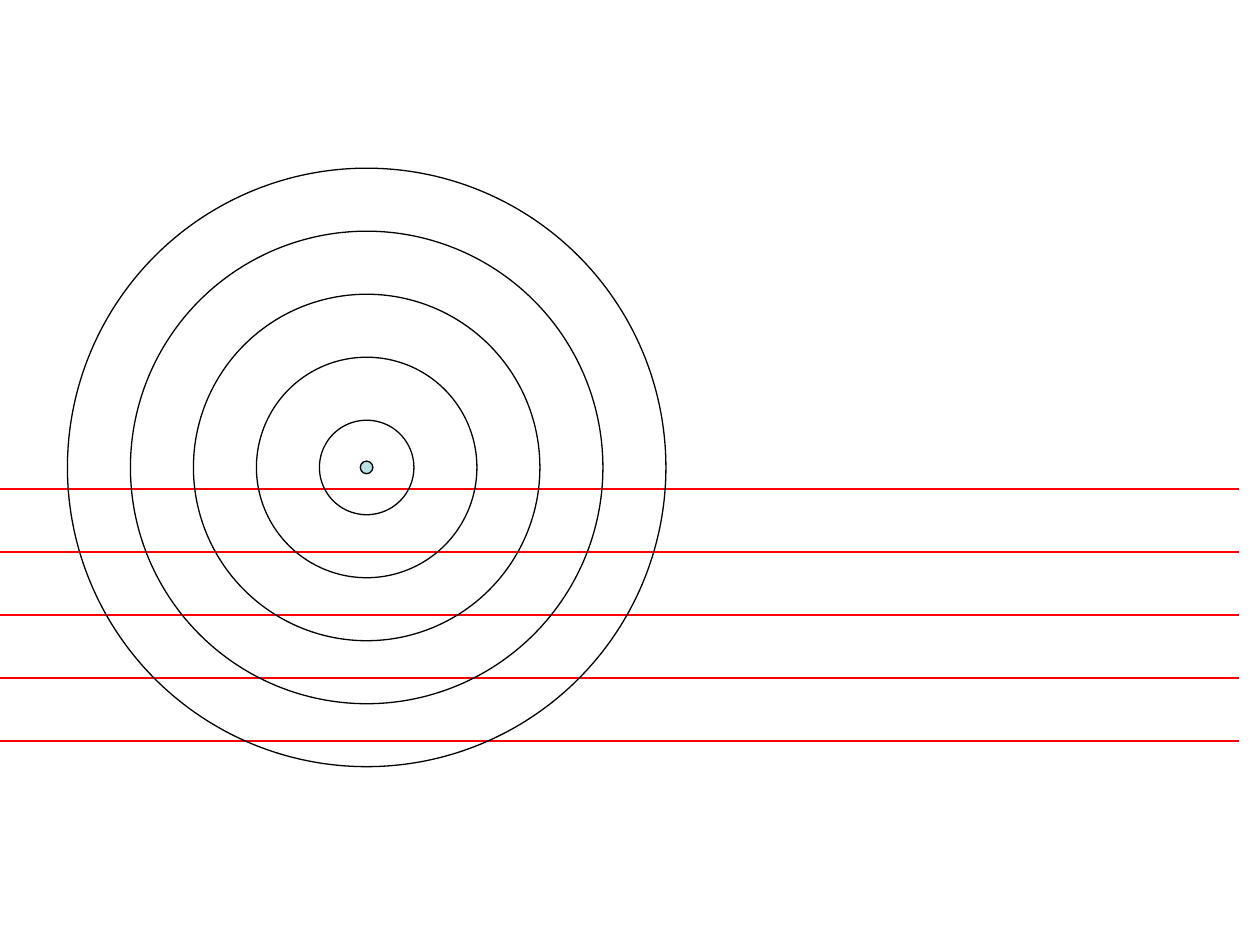
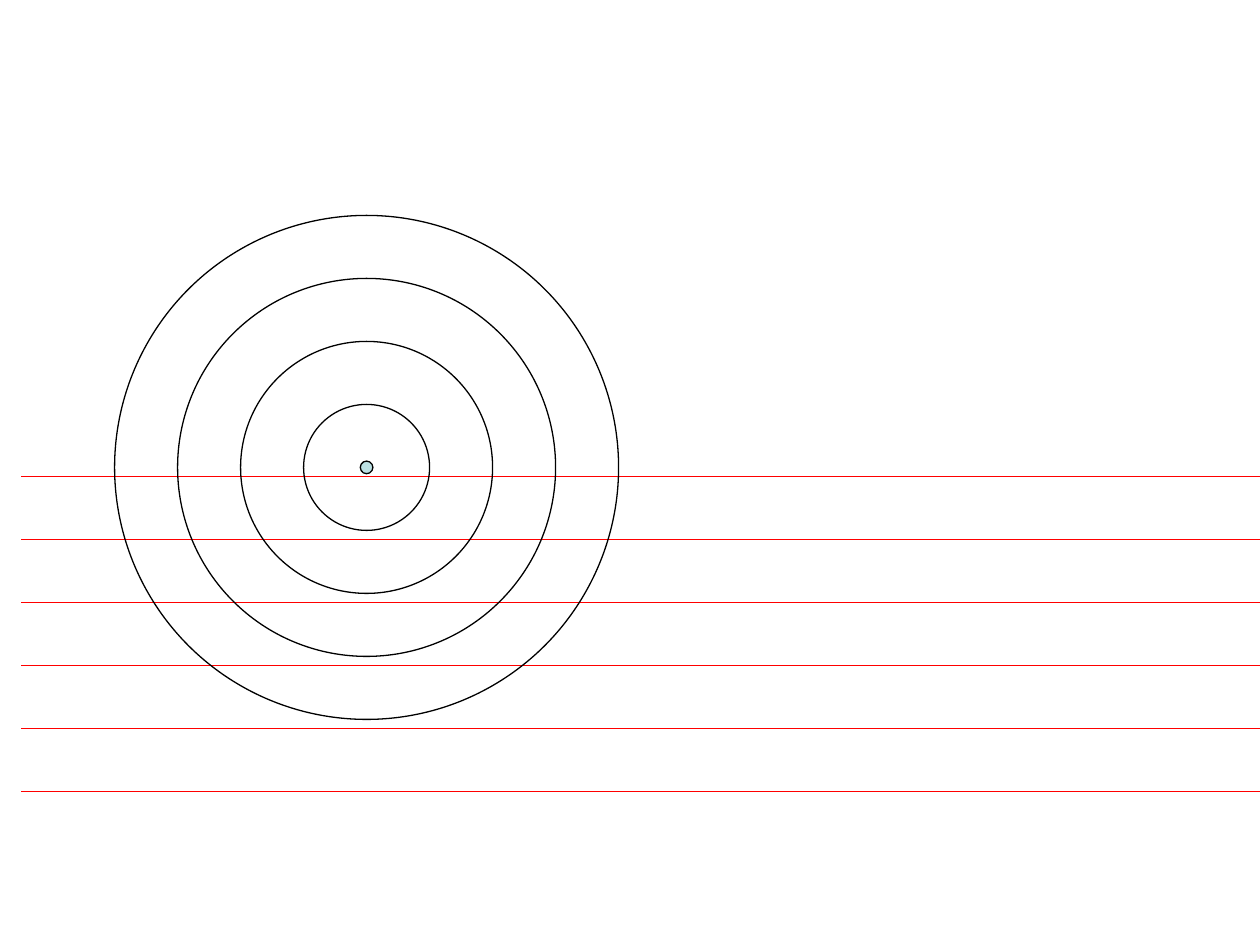
from pptx import Presentation
from pptx.dml.color import RGBColor
from pptx.enum.shapes import MSO_CONNECTOR as Connector, MSO_SHAPE as Shape
from pptx.oxml.ns import qn
from pptx.util import Inches, Pt
from lxml.etree import SubElement

WAVELENGTH = 0.5
SOURCE_X, SOURCE_Y = 2.91, 3.71
SOURCE_RADIUS = 0.05
FRONT_LENGTH = 9.83

WAVES = [
    {"front_left": 0, "first_front": 3.88, "front_count": 5,
     "first_radius": 0.375, "ring_count": 5},
    {"front_left": 0.17, "first_front": 3.78, "front_count": 6,
     "first_radius": 0.5, "ring_count": 4},
]


def rgb(hex_string):
    return RGBColor.from_string(hex_string)


class WaveDeck:
    FRONT_COLOR = "FF0000"
    RING_COLOR = "000000"
    SOURCE_COLOR = "BBE0E3"
    LINE_WIDTH = Pt(0.75)

    def __init__(self):
        self.deck = Presentation()
        size = {"slide_width": Inches(10), "slide_height": Inches(7.5)}
        for name, value in size.items():
            setattr(self.deck, name, value)
        self.slide = None

    def add_slide(self):
        self.slide = self.deck.slides.add_slide(self.deck.slide_layouts[6])

    def outline(self, element, color):
        element.line.color.rgb = rgb(color)
        element.line.width = self.LINE_WIDTH

    def front(self, left, y):
        front = self.slide.shapes.add_connector(
            Connector.STRAIGHT, Inches(left), Inches(y),
            Inches(left + FRONT_LENGTH), Inches(y))
        self.outline(front, self.FRONT_COLOR)
        SubElement(front.element.spPr, qn("a:effectLst"))

    def circle(self, radius, fill=None):
        circle = self.slide.shapes.add_shape(
            Shape.OVAL, Inches(SOURCE_X - radius), Inches(SOURCE_Y - radius),
            Inches(2 * radius), Inches(2 * radius))
        circle.shadow.inherit = False
        if fill:
            circle.fill.solid()
            circle.fill.fore_color.rgb = rgb(fill)
        else:
            circle.fill.background()
        self.outline(circle, self.RING_COLOR)

    def wave_slide(self, front_left, first_front, front_count,
                   first_radius, ring_count):
        self.add_slide()
        for step in range(front_count):
            self.front(front_left, first_front + step * WAVELENGTH)
        self.circle(SOURCE_RADIUS, self.SOURCE_COLOR)
        for step in range(ring_count):
            self.circle(first_radius + step * WAVELENGTH)


def main():
    waves = WaveDeck()
    for wave in WAVES:
        waves.wave_slide(**wave)
    waves.deck.save("out.pptx")


if __name__ == "__main__":
    main()
